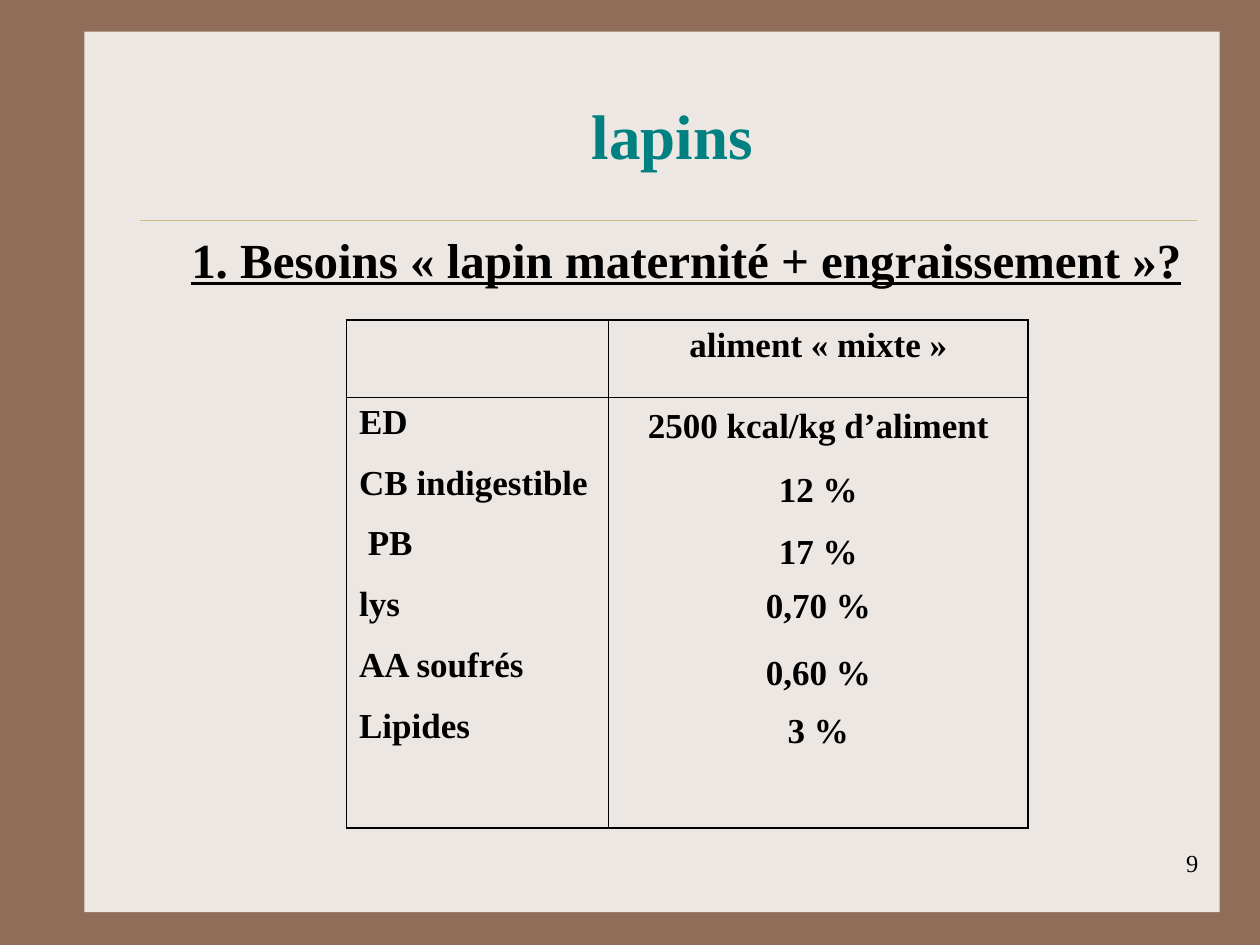
from lxml.etree import SubElement
from pptx import Presentation
from pptx.dml.color import RGBColor
from pptx.enum.shapes import MSO_CONNECTOR as Connector, MSO_SHAPE as Shape
from pptx.enum.text import PP_ALIGN as Align
from pptx.oxml import parse_xml
from pptx.oxml.ns import nsdecls, qn
from pptx.util import Inches, Pt

BROWN = RGBColor(0x90, 0x6D, 0x58)
CREAM = RGBColor(0xED, 0xE7, 0xE3)
GOLD = RGBColor(0xCB, 0xBD, 0x83)
TEAL = RGBColor(0x00, 0x80, 0x80)
BLACK = RGBColor(0x00, 0x00, 0x00)

FONT = "Times New Roman"
OUTER_BORDER, INNER_BORDER = 1.08, 0.45
COLUMN_WIDTHS = (2.08, 3.33)
ROW_HEIGHTS = (0.61, 3.42)
NUTRIENTS = ("ED", "CB indigestible", " PB", "lys", "AA soufrés", "Lipides")
# Each need with its line spacing
NEEDS = (("2500 kcal/kg d’aliment", 1.1), ("12 %", 0.4), ("17 %", 0.5),
         ("0,70 %", 0.2), ("0,60 %", 0.7), ("3 %", 0.3))


def write(frame, text, size=20, color=BLACK, bold=True, underline=None,
          align=Align.LEFT, before=0, spacing=None):
    """Add one paragraph to a text frame, filling the empty first one first."""
    para = frame.paragraphs[0]
    if para.runs:
        para = frame.add_paragraph()
        para.space_before = Pt(before)
    para.alignment = align
    if spacing:
        para.line_spacing = spacing
    span = para.add_run()
    span.text = text
    font = span.font
    font.name, font.size, font.bold, font.underline = FONT, Pt(size), bold, underline
    font.color.rgb = color


def add_text(page, area, text, **style):
    box = page.shapes.add_textbox(*map(Inches, area))
    box.text_frame.word_wrap = True
    write(box.text_frame, text, **style)


def add_backdrop(page, left, top, width, height):
    page.background.fill.solid()
    page.background.fill.fore_color.rgb = BROWN
    panel = page.shapes.add_shape(Shape.RECTANGLE, *map(Inches, (left, top, width, height)))
    panel.shadow.inherit = False
    panel.fill.solid()
    panel.fill.fore_color.rgb = CREAM
    panel.line.fill.background()

    rule_y = Inches(top + 1.5)
    rule = page.shapes.add_connector(Connector.STRAIGHT, Inches(left + 0.44), rule_y,
                                     Inches(left + 8.83), rule_y)
    rule.line.color.rgb = GOLD
    rule.line.width = Pt(0.25)
    SubElement(rule._element.spPr, qn("a:effectLst"))


def set_borders(cell, **widths):
    """Draw black borders, given in points by side: L, R, T, B."""
    properties = cell._tc.get_or_add_tcPr()
    for index, (side, width) in enumerate(widths.items()):
        properties.insert(index, parse_xml(
            f'<a:ln{side} {nsdecls("a")} w="{Pt(width)}"><a:solidFill>'
            f'<a:srgbClr val="{BLACK}"/></a:solidFill></a:ln{side}>'))


def add_needs_table(page, left, top):
    rows, columns = len(ROW_HEIGHTS), len(COLUMN_WIDTHS)
    table = page.shapes.add_table(rows, columns, Inches(left), Inches(top),
                                  Inches(sum(COLUMN_WIDTHS)), Inches(sum(ROW_HEIGHTS))).table
    table.first_row = table.horz_banding = False
    for column, width in zip(table.columns, COLUMN_WIDTHS):
        column.width = Inches(width)
    for row, height in zip(table.rows, ROW_HEIGHTS):
        row.height = Inches(height)

    def border(on_edge):
        return OUTER_BORDER if on_edge else INNER_BORDER

    for r in range(rows):
        for c in range(columns):
            cell = table.cell(r, c)
            cell.fill.background()
            set_borders(cell, L=border(c == 0), R=border(c == columns - 1),
                        T=border(r == 0), B=border(r == rows - 1))

    write(table.cell(0, 1).text_frame, "aliment «\u00a0mixte\u00a0»", align=Align.CENTER)
    for nutrient in NUTRIENTS:
        write(table.cell(1, 0).text_frame, nutrient, before=12.5)
    for need, spacing in NEEDS:
        write(table.cell(1, 1).text_frame, need, align=Align.CENTER,
              before=25, spacing=spacing)


def main():
    deck = Presentation()
    deck.slide_width, deck.slide_height = Inches(10), Inches(7.5)
    page = deck.slides.add_slide(deck.slide_layouts[6])
    add_backdrop(page, 0.67, 0.25, 9.01, 6.99)
    add_text(page, (7.53, 6.68, 2.08, 0.5), "9", size=14, bold=False, align=Align.RIGHT)
    add_text(page, (0.92, 0.72, 8.83, 0.7), "lapins", size=36, color=TEAL,
             align=Align.CENTER)
    add_text(page, (1.42, 1.77, 8.17, 0.57),
             "1. Besoins «\u00a0lapin maternité + engraissement\u00a0»?",
             size=28, underline=True, align=Align.JUSTIFY)
    add_needs_table(page, 2.75, 2.54)
    deck.save("out.pptx")


if __name__ == "__main__":
    main()
